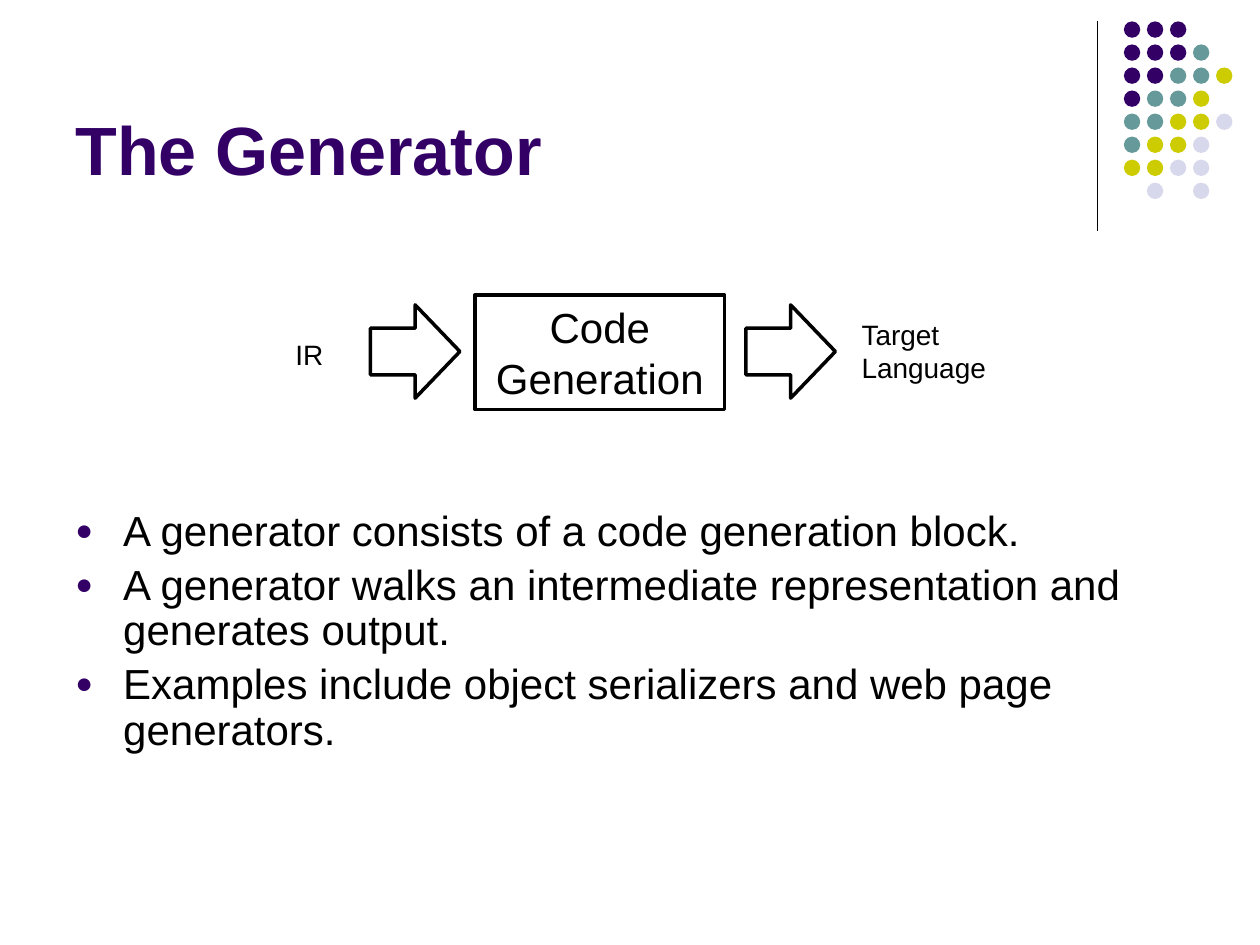
from dataclasses import dataclass

from lxml.etree import SubElement
from pptx import Presentation
from pptx.dml.color import RGBColor as Color
from pptx.enum.shapes import MSO_CONNECTOR as Connector, MSO_SHAPE as Shape
from pptx.enum.text import MSO_ANCHOR as Anchor, PP_ALIGN as Align
from pptx.oxml.ns import qn
from pptx.util import Inches, Pt


@dataclass(frozen=True)
class Theme:
    font: str = "Arial"
    ink: str = "000000"
    paper: str = "FFFFFF"
    violet: str = "330066"
    teal: str = "669999"
    lime: str = "CCCC00"
    mist: str = "D8D8EC"
    title_size: float = 39
    body_size: float = 24
    label_size: float = 16
    outline: float = 2
    hairline: float = 0.75


class SlideBuilder:
    def __init__(self, slide, theme):
        self.slide = slide
        self.theme = theme

    def add_text(self, para, text, size, color=None, bold=False):
        """Add one run per line of text, with line breaks between them."""
        for index, line in enumerate(text.split("\n")):
            if index:
                para.add_line_break()
            span = para.add_run()
            span.text = line
            span.font.name = self.theme.font
            span.font.size = Pt(size)
            span.font.bold = bold
            span.font.color.rgb = Color.from_string(color or self.theme.ink)

    def title(self, text, left, top, width, height):
        box = self.slide.shapes.title
        box.left, box.top = Inches(left), Inches(top)
        box.width, box.height = Inches(width), Inches(height)
        frame = box.text_frame
        frame.vertical_anchor = Anchor.BOTTOM
        para = frame.paragraphs[0]
        para.alignment = Align.LEFT
        self.add_text(para, text, self.theme.title_size, self.theme.violet, bold=True)

    def text_box(self, left, top, width, height, wrap):
        box = self.slide.shapes.add_textbox(
            Inches(left), Inches(top), Inches(width), Inches(height))
        box.text_frame.word_wrap = wrap
        return box.text_frame

    def label(self, text, left, top, width, height, align=Align.LEFT):
        para = self.text_box(left, top, width, height, wrap=False).paragraphs[0]
        para.alignment = align
        self.add_text(para, text, self.theme.label_size)

    def bullets(self, items, left, top, width, height):
        frame = self.text_box(left, top, width, height, wrap=True)
        for index, item in enumerate(items):
            para = frame.add_paragraph() if index else frame.paragraphs[0]
            self.add_bullet(para)
            para.line_spacing = 0.9
            if index:
                para.space_before = Pt(5)
            self.add_text(para, item, self.theme.body_size)

    def add_bullet(self, para):
        properties = para._p.get_or_add_pPr()
        indent = Inches(0.38)
        properties.set("marL", str(indent))
        properties.set("indent", str(-indent))
        color = SubElement(properties, qn("a:buClr"))
        SubElement(color, qn("a:srgbClr"), val=self.theme.violet)
        SubElement(properties, qn("a:buSzPct"), val="70000")
        SubElement(properties, qn("a:buFont"), typeface=self.theme.font)
        SubElement(properties, qn("a:buChar"), char="●")

    def shape(self, kind, left, top, width, height, fill, outlined=True):
        shape = self.slide.shapes.add_shape(
            kind, Inches(left), Inches(top), Inches(width), Inches(height))
        shape.shadow.inherit = False
        shape.fill.solid()
        shape.fill.fore_color.rgb = Color.from_string(fill)
        if outlined:
            shape.line.color.rgb = Color.from_string(self.theme.ink)
            shape.line.width = Pt(self.theme.outline)
        else:
            shape.line.fill.background()
        return shape

    def block(self, lines, left, top, width, height):
        """Draw an outlined rectangle with one centred paragraph per line."""
        box = self.shape(Shape.RECTANGLE, left, top, width, height, self.theme.paper)
        frame = box.text_frame
        frame.vertical_anchor = Anchor.MIDDLE
        for index, line in enumerate(lines):
            para = frame.add_paragraph() if index else frame.paragraphs[0]
            para.alignment = Align.CENTER
            self.add_text(para, line, self.theme.body_size)

    def arrow(self, left, top, width, height):
        self.shape(Shape.RIGHT_ARROW, left, top, width, height, self.theme.paper)

    def vertical_line(self, x, top, bottom):
        line = self.slide.shapes.add_connector(
            Connector.STRAIGHT, Inches(x), Inches(top), Inches(x), Inches(bottom))
        line.line.color.rgb = Color.from_string(self.theme.ink)
        line.line.width = Pt(self.theme.hairline)
        SubElement(line._element.spPr, qn("a:effectLst"))

    def dot_grid(self, rows, left, top, pitch, size):
        """Draw a dot for each letter in rows; a space leaves a gap."""
        colors = {"V": self.theme.violet, "T": self.theme.teal,
                  "L": self.theme.lime, "M": self.theme.mist}
        for row, letters in enumerate(rows):
            for column, letter in enumerate(letters):
                if letter in colors:
                    self.shape(Shape.OVAL, left + column * pitch, top + row * pitch,
                               size, size, colors[letter], outlined=False)


def main():
    deck = Presentation()
    deck.slide_width, deck.slide_height = Inches(10), Inches(7.5)
    title_only = deck.slide_layouts[5]
    page = SlideBuilder(deck.slides.add_slide(title_only), Theme())

    page.vertical_line(8.71, 0.17, 1.83)
    dot_rows = ["VVV", "VVVT", "VVTTL", "VTTL", "TTLLM", "TLLM", "LLMM", " M M"]
    page.dot_grid(dot_rows, left=8.92, top=0.17, pitch=1.28 / 7, size=0.13)

    page.title("The Generator", 0.5, 0.13, 8.25, 1.42)
    page.bullets([
        "A generator consists of a code generation block.",
        "A generator walks an intermediate representation and generates output.",
        "Examples include object serializers and web page generators.",
    ], 0.5, 4, 9, 2.33)

    page.block(["Code", "Generation"], 3.77, 2.34, 1.98, 0.91)
    for arrow_left in (2.94, 5.92):
        page.arrow(arrow_left, 2.42, 0.71, 0.74)
    page.label("IR", 2.24, 2.63, 0.43, 0.37, Align.CENTER)
    page.label("Target\nLanguage", 6.74, 2.47, 1.2, 0.64)

    deck.save("out.pptx")


if __name__ == "__main__":
    main()
